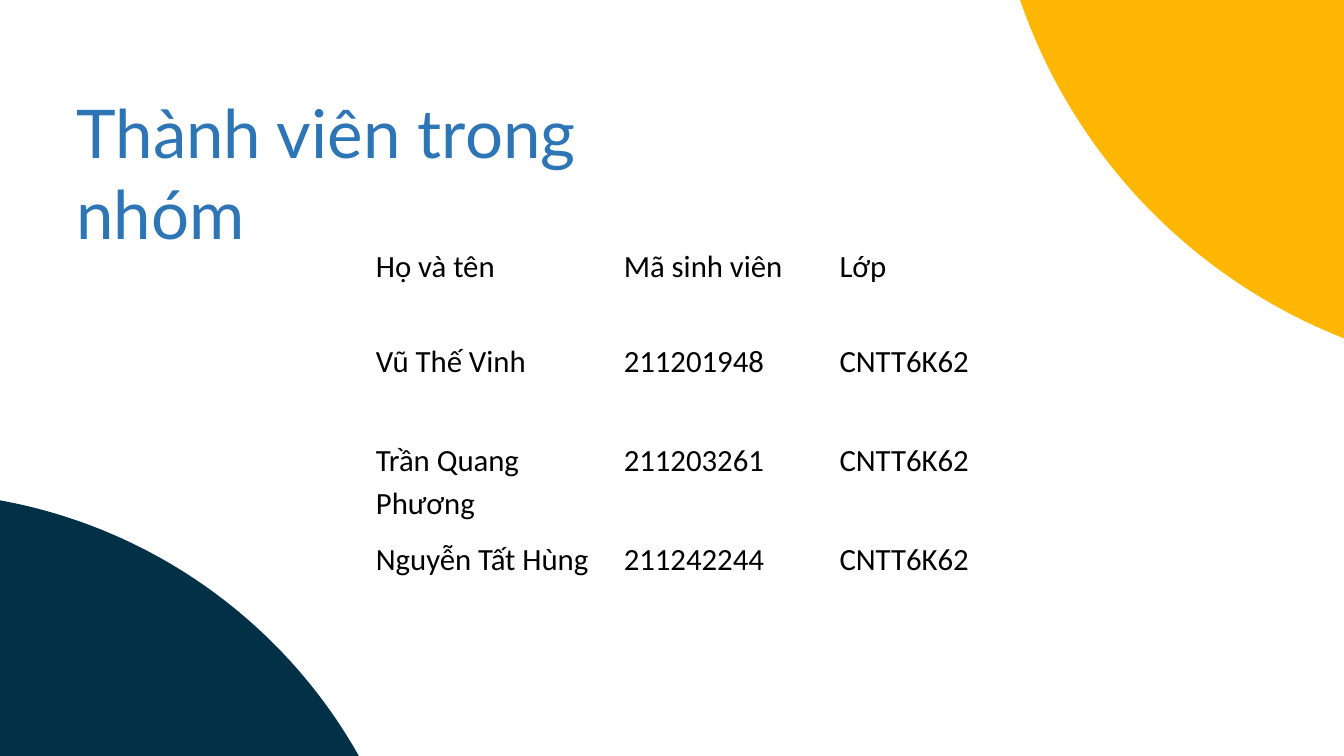
import pptx
import pptx.dml.color
import pptx.enum.shapes
import pptx.enum.text
import pptx.util

Pt = pptx.util.Pt

TITLE = "Thành viên trong nhóm"
MEMBERS = [
    ("Họ và tên", "Mã sinh viên", "Lớp"),
    ("Vũ Thế Vinh", "211201948", "CNTT6K62"),
    ("Trần Quang Phương", "211203261", "CNTT6K62"),
    ("Nguyễn Tất Hùng", "211242244", "CNTT6K62"),
]
COLORS = {"amber": "FFB703", "navy": "023047", "blue": "2E75B6", "black": "000000"}

# left, top, diameter, color
CIRCLES = [
    (707, -528.5, 797.8, "amber"),
    (-436.3, 351.4, 740.2, "navy"),
]
COLUMN_WIDTHS = (177.1, 154.1, 180.7)
ROW_HEIGHTS = (67.7, 70.5, 70.5, 54.7)
CELL_INSET = 5


def color(name):
    return pptx.dml.color.RGBColor.from_string(COLORS[name])


def write(frame, text, *, font, size, ink, spacing=None):
    para = frame.paragraphs[0]
    para.line_spacing = spacing
    span = para.add_run()
    span.text = text
    span.font.name = font
    span.font.size = Pt(size)
    span.font.bold = False
    span.font.color.rgb = color(ink)


def add_circle(page, left, top, diameter, fill):
    circle = page.shapes.add_shape(
        pptx.enum.shapes.MSO_SHAPE.OVAL, Pt(left), Pt(top), Pt(diameter), Pt(diameter))
    circle.shadow.inherit = False
    circle.fill.solid()
    circle.fill.fore_color.rgb = color(fill)
    circle.line.fill.background()


def add_title(page):
    box = page.shapes.add_textbox(Pt(47.5), Pt(61.9), Pt(442.8), Pt(65.5))
    box.text_frame.word_wrap = True
    box.text_frame.auto_size = pptx.enum.text.MSO_AUTO_SIZE.SHAPE_TO_FIT_TEXT
    write(box.text_frame, TITLE, font="Lato", size=48, ink="blue")


def add_member_table(page):
    table = page.shapes.add_table(
        len(MEMBERS), len(COLUMN_WIDTHS), Pt(263.5), Pt(168.5),
        Pt(sum(COLUMN_WIDTHS)), Pt(sum(ROW_HEIGHTS))).table
    table.first_row = False
    table.horz_banding = False
    for column, width in zip(table.columns, COLUMN_WIDTHS):
        column.width = Pt(width)
    for row, height, texts in zip(table.rows, ROW_HEIGHTS, MEMBERS):
        row.height = Pt(height)
        for cell, text in zip(row.cells, texts):
            cell.fill.background()
            cell.margin_left = cell.margin_right = Pt(CELL_INSET)
            cell.margin_top = cell.margin_bottom = Pt(CELL_INSET)
            write(cell.text_frame, text, font="Calibri", size=22, ink="black", spacing=1.15)


def main():
    deck = pptx.Presentation()
    deck.slide_width, deck.slide_height = Pt(960), Pt(540)
    page = deck.slides.add_slide(deck.slide_layouts[6])
    for circle in CIRCLES:
        add_circle(page, *circle)
    add_title(page)
    add_member_table(page)
    deck.save("out.pptx")


if __name__ == "__main__":
    main()
